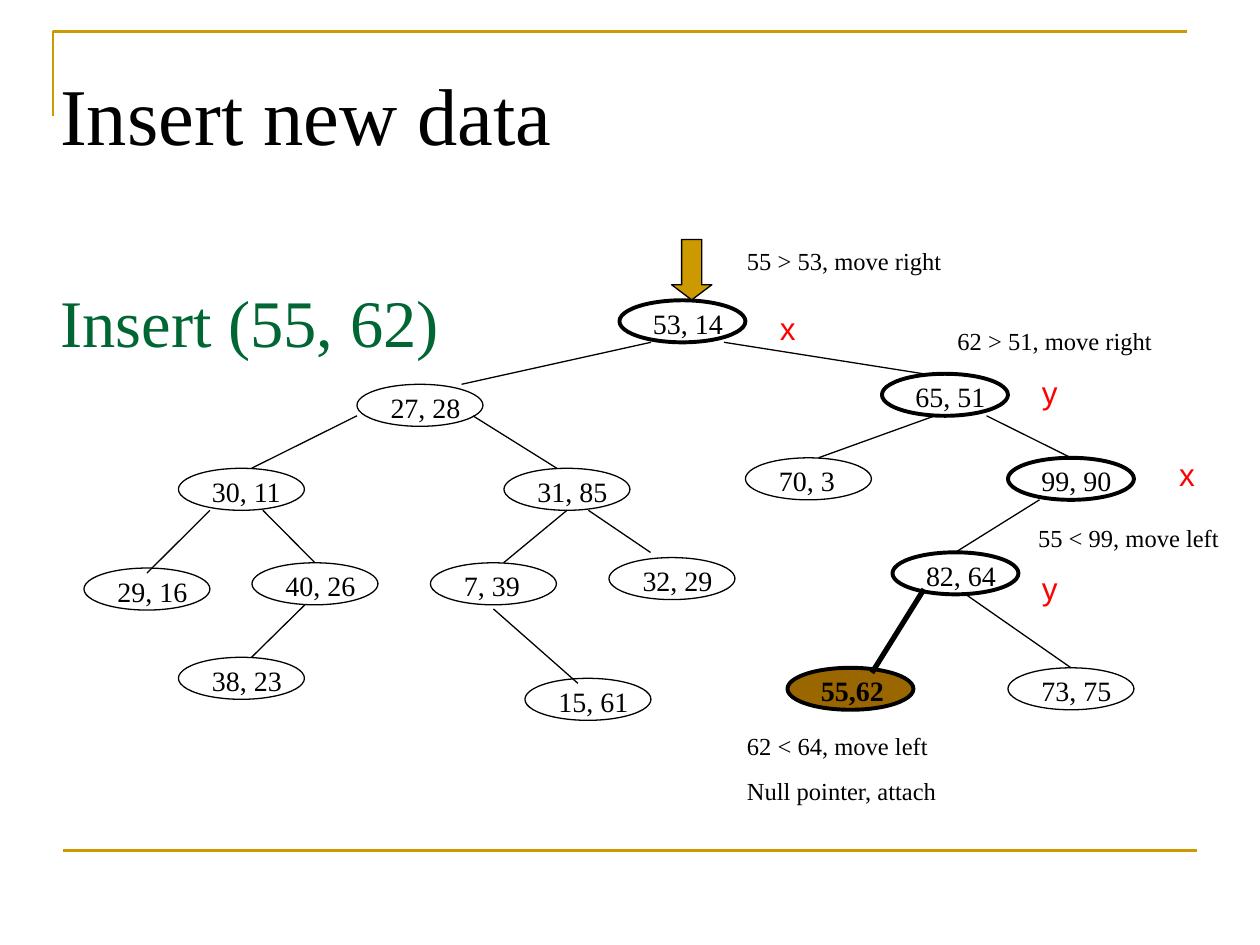
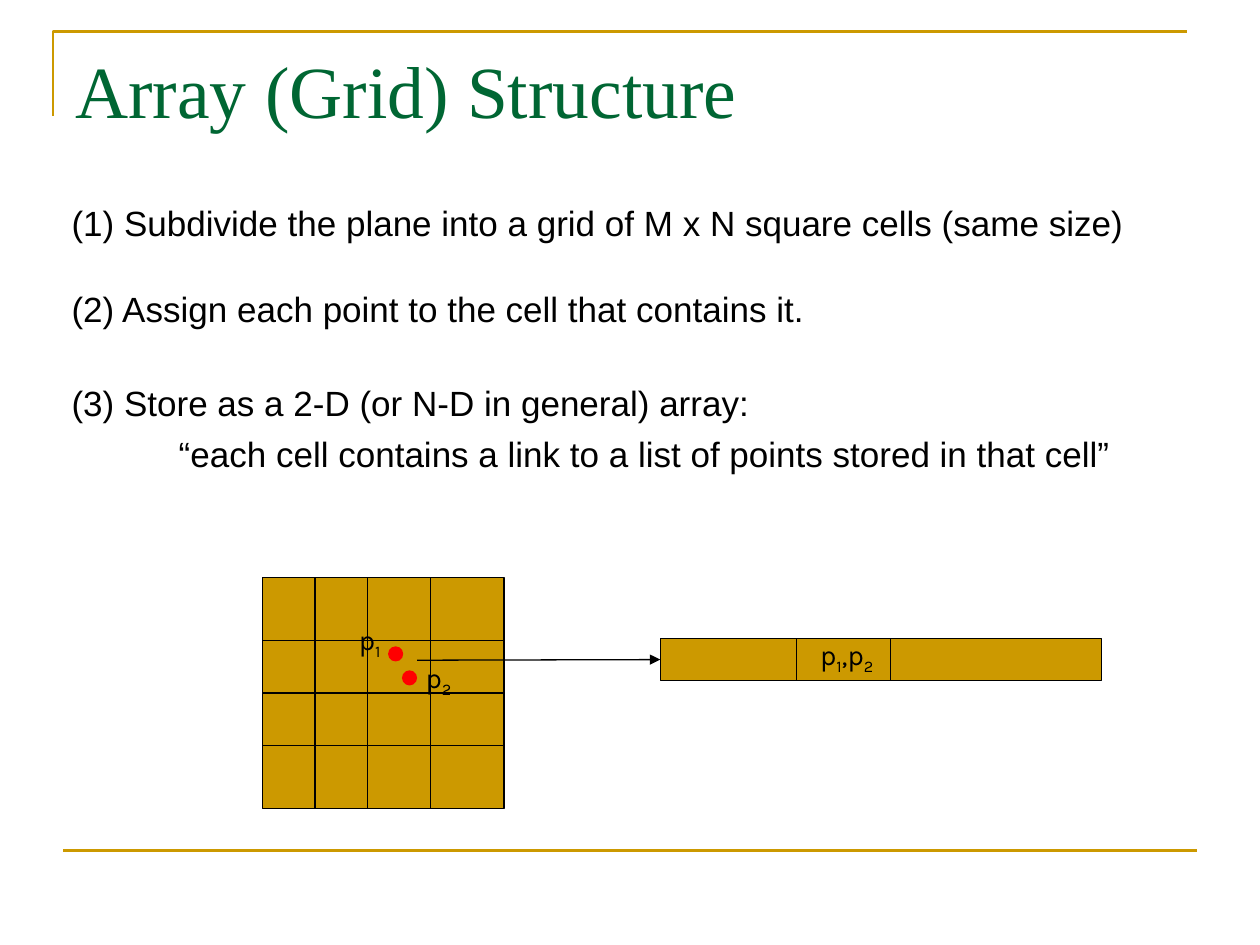
from dataclasses import dataclass

from lxml import etree
from pptx import Presentation
from pptx.dml.color import RGBColor
from pptx.enum.shapes import MSO_CONNECTOR, MSO_SHAPE
from pptx.enum.text import MSO_ANCHOR, PP_ALIGN
from pptx.oxml.ns import qn
from pptx.util import Inches, Pt

STRAIGHT = MSO_CONNECTOR.STRAIGHT
ELLIPSE, RECTANGLE, DOWN_ARROW = MSO_SHAPE.OVAL, MSO_SHAPE.RECTANGLE, MSO_SHAPE.DOWN_ARROW
TOP, BOTTOM = MSO_ANCHOR.TOP, MSO_ANCHOR.BOTTOM
LEFT = PP_ALIGN.LEFT


@dataclass(frozen=True)
class Theme:
    gold: str = "CC9900"
    brown: str = "996600"
    green: str = "006633"
    red: str = "FF0000"
    black: str = "000000"
    white: str = "FFFFFF"
    serif: str = "Times New Roman"
    sans: str = "Arial"
    point_font: str = "Karla"
    heading_size: int = 46
    grid_title_size: int = 42
    insert_title_size: int = 38
    body_size: int = 20
    mark_size: int = 18
    node_size: int = 16
    step_size: int = 14
    thin: float = 0.75
    frame: float = 1.5
    visited: float = 2.25
    attached: float = 3


THEME = Theme()
WIDTH, HEIGHT = 10, 7.5

CELL = 1 / 12
TREE_TOP = 0.05
NODE_COLUMNS, NODE_ROWS = 12, 4
NODES = {
    "53, 14": (59, 28),
    "27, 28": (34, 36),
    "65, 51": (84, 35),
    "31, 85": (48, 44),
    "30, 11": (17, 44),
    "70, 3": (71, 43),
    "99, 90": (96, 43),
    "29, 16": (8, 53.5),
    "40, 26": (24, 53),
    "7, 39": (41, 53),
    "32, 29": (58, 52.5),
    "82, 64": (85, 52),
    "73, 75": (96, 63),
    "15, 61": (50, 64),
    "38, 23": (17, 62),
    "55,62": (75, 63),
}
NEW_NODE = "55,62"
SEARCH_PATH = ("53, 14", "65, 51", "99, 90", "82, 64", NEW_NODE)

EDGES = [
    ("53, 14", (0.25, 1), "27, 28", (0.83, 0)),
    ("53, 14", (0.83, 1), "65, 51", (0.33, 0)),
    ("27, 28", (0, 0.75), "30, 11", (0.58, 0)),
    ("27, 28", (0.92, 0.75), "31, 85", (0.42, 0)),
    ("65, 51", (0.42, 1), "70, 3", (0.58, 0)),
    ("65, 51", (0.83, 1), "99, 90", (0.5, 0)),
    ("99, 90", (0.25, 1), "82, 64", (0.5, 0)),
    ("82, 64", (0.58, 1), "73, 75", (0.5, 0)),
    ("30, 11", (0.25, 1), "29, 16", (0.5, 0.12)),
    ("30, 11", (0.67, 1), "40, 26", (0.5, 0)),
    ("40, 26", (0.42, 1), "38, 23", (0.58, 0)),
    ("31, 85", (0.5, 1), "7, 39", (0.58, 0)),
    ("31, 85", (0.67, 1), "32, 29", (0.33, -0.12)),
    ("82, 64", (0.25, 0.88), NEW_NODE, (0.67, 0.12)),
    ("7, 39", (0.5, 1.1), "15, 61", (0.42, 0.12)),
]

STEPS = [
    (5.83, 1.9, ["55 > 53, move right"]),
    (7.5, 2.54, ["62 > 51, move right"]),
    (8.14, 4.1, ["55 < 99, move left"]),
    (5.83, 5.75, ["62 < 64, move left", "Null pointer, attach"]),
]
AXIS_MARKS = [("x", 6.09, 2.4), ("y", 8.17, 2.91), ("x", 9.26, 3.56), ("y", 8.17, 4.47)]

GRID_STEPS = [
    ("(1) Subdivide the plane into a grid of M x N square cells (same size)", 0, 0),
    ("(2) Assign each point to the cell that contains it.", 25, 0),
    ("(3) Store as a 2-D (or N-D in general) array:", 30, 0),
    ("“each cell contains a link to a list of points stored in that cell”", 5, 0.85),
]
GRID_COLUMNS = [column * CELL for column in (25, 30, 35, 41, 48)]
GRID_ROWS = [row * CELL for row in (55, 61, 66, 71, 77)]
ARRAY_COLUMNS = [5.24, 6.32, 7.07, 8.74]
ARRAY_ROWS = [5.07, 5.4]
POINT_LABELS = [
    (["p", "1", ",p", "2"], (6.41, 5.01, 0.68, 0.41)),
    (["p", "1"], (2.75, 4.89, 0.41, 0.41)),
    (["p", "2"], (3.28, 5.19, 0.41, 0.41)),
]
POINTS = [(3.19, 5.32), (3.08, 5.13)]
POINT_SIZE = 0.12


def color(value):
    return RGBColor.from_string(value)


def style_line(line, line_color, width):
    line.color.rgb = color(line_color)
    line.width = Pt(width)


def style_font(font, size, name, font_color, bold=False):
    font.size = Pt(size)
    font.name = name
    font.bold = bold
    font.color.rgb = color(font_color)


def add_figure(slide, kind, box, fill, line_width=None):
    shape = slide.shapes.add_shape(kind, *map(Inches, box))
    shape.shadow.inherit = False
    shape.fill.solid()
    shape.fill.fore_color.rgb = color(fill)
    if line_width is None:
        shape.line.fill.background()
    else:
        style_line(shape.line, THEME.black, line_width)
    return shape


def add_line(slide, start, end, width=THEME.thin, line_color=THEME.black):
    connector = slide.shapes.add_connector(STRAIGHT, *map(Inches, (*start, *end)))
    style_line(connector.line, line_color, width)
    etree.SubElement(connector._element.spPr, qn("a:effectLst"))
    return connector


def add_text(slide, box, lines, size, name, font_color=THEME.black,
             wrap=True, anchor=TOP, space_before=0):
    text_frame = slide.shapes.add_textbox(*map(Inches, box)).text_frame
    text_frame.word_wrap = wrap
    text_frame.vertical_anchor = anchor
    text_frame.text = "\n".join(lines)
    for index, paragraph in enumerate(text_frame.paragraphs):
        style_font(paragraph.font, size, name, font_color)
        paragraph.space_before = Pt(space_before if index else 0)
    return text_frame


def add_title(slide, text, box, size):
    add_text(slide, box, [text], size, THEME.serif, THEME.green, anchor=BOTTOM)


def add_framed_slide(presentation):
    slide = presentation.slides.add_slide(presentation.slide_layouts[6])
    builder = slide.shapes.build_freeform(Inches(0.42), Inches(0.92))
    corner_points = [(Inches(0.42), Inches(0.25)), (Inches(9.42), Inches(0.25))]
    builder.add_line_segments(corner_points, close=False)
    corner = builder.convert_to_shape()
    corner.shadow.inherit = False
    corner.fill.background()
    style_line(corner.line, THEME.gold, THEME.frame)
    footer_y = HEIGHT * 0.9
    add_line(slide, (WIDTH * 0.05, footer_y), (WIDTH * 0.95, footer_y), THEME.frame, THEME.gold)
    return slide


def node_point(name, share):
    column, row = NODES[name]
    return ((column + share[0] * NODE_COLUMNS) * CELL,
            TREE_TOP + (row + share[1] * NODE_ROWS) * CELL)


def add_node(slide, name):
    is_new = name == NEW_NODE
    box = (*node_point(name, (0, 0)), NODE_COLUMNS * CELL, NODE_ROWS * CELL)
    shape = add_figure(slide, ELLIPSE, box, THEME.brown if is_new else THEME.white,
                       THEME.visited if name in SEARCH_PATH else THEME.thin)
    text_frame = shape.text_frame
    text_frame.margin_left = Inches(0.12)
    text_frame.margin_top = text_frame.margin_right = text_frame.margin_bottom = 0
    text_frame.vertical_anchor = TOP
    text_frame.word_wrap = True
    text_frame.text = name
    paragraph = text_frame.paragraphs[0]
    paragraph.alignment = LEFT
    style_font(paragraph.font, THEME.node_size, THEME.serif, THEME.black, is_new)
    return shape


def add_ruled_box(slide, columns, rows):
    left, right, top, bottom = columns[0], columns[-1], rows[0], rows[-1]
    box = (left, top, right - left, bottom - top)
    shape = add_figure(slide, RECTANGLE, box, THEME.gold, THEME.thin)
    for x in columns[1:-1]:
        add_line(slide, (x, top), (x, bottom))
    for y in rows[1:-1]:
        add_line(slide, (left, y), (right, y))
    return shape


def build_insert_slide(presentation):
    slide = add_framed_slide(presentation)
    add_title(slide, "Insert (55, 62)", (0.38, 2.17, 3.42, 0.74), THEME.insert_title_size)
    nodes = {name: add_node(slide, name) for name in NODES}
    for parent, start, child, end in EDGES:
        width = THEME.attached if child == NEW_NODE else THEME.thin
        edge = add_line(slide, node_point(parent, start), node_point(child, end), width)
        if end == (0.5, 0):
            edge.end_connect(nodes[child], 0)
    arrow = add_figure(slide, DOWN_ARROW, (5.33, 1.9, 0.32, 0.48), THEME.gold, THEME.thin)
    arrow.adjustments[0] = 0.5
    arrow.adjustments[1] = 0.375
    for left, top, lines in STEPS:
        add_text(slide, (left, top, 1.75, 0.34 * len(lines)), lines,
                 THEME.step_size, THEME.serif, space_before=8.8)
    add_text(slide, (0.38, 0.47, 4.97, 0.82), ["Insert new data"],
             THEME.heading_size, THEME.serif, wrap=False)
    for mark, left, top in AXIS_MARKS:
        add_text(slide, (left, top, 0.32, 0.4), [mark],
                 THEME.mark_size, THEME.sans, THEME.red, wrap=False)


def build_grid_slide(presentation):
    slide = add_framed_slide(presentation)
    add_title(slide, "Array (Grid) Structure", (0.5, 0.31, 9, 0.8), THEME.grid_title_size)
    body = add_text(slide, (0.47, 1.55, 9.04, 2.24), [step[0] for step in GRID_STEPS],
                    THEME.body_size, THEME.sans)
    for paragraph, (_, space_before, indent) in zip(body.paragraphs, GRID_STEPS):
        paragraph.space_before = Pt(space_before)
        paragraph._p.get_or_add_pPr().set("marL", str(Inches(indent)))

    add_ruled_box(slide, GRID_COLUMNS, GRID_ROWS)
    array = add_ruled_box(slide, ARRAY_COLUMNS, ARRAY_ROWS)
    link = add_line(slide, (3.31, 5.24), (ARRAY_COLUMNS[0], 5.24))
    link.end_connect(array, 1)
    etree.SubElement(link.line._get_or_add_ln(), qn("a:tailEnd"), type="triangle")

    for pieces, box in POINT_LABELS:
        label = add_text(slide, box, [""], THEME.node_size, THEME.point_font, wrap=False)
        for piece in pieces:
            run = label.paragraphs[0].add_run()
            run.text = piece
            style_font(run.font, THEME.node_size, THEME.point_font, THEME.black)
            if piece.isdigit():
                run.font._element.set("baseline", "-25000")
    for left, top in POINTS:
        add_figure(slide, ELLIPSE, (left, top, POINT_SIZE, POINT_SIZE), THEME.red)


def main():
    presentation = Presentation()
    presentation.slide_width = Inches(WIDTH)
    presentation.slide_height = Inches(HEIGHT)
    build_insert_slide(presentation)
    build_grid_slide(presentation)
    presentation.save("out.pptx")


if __name__ == "__main__":
    main()
